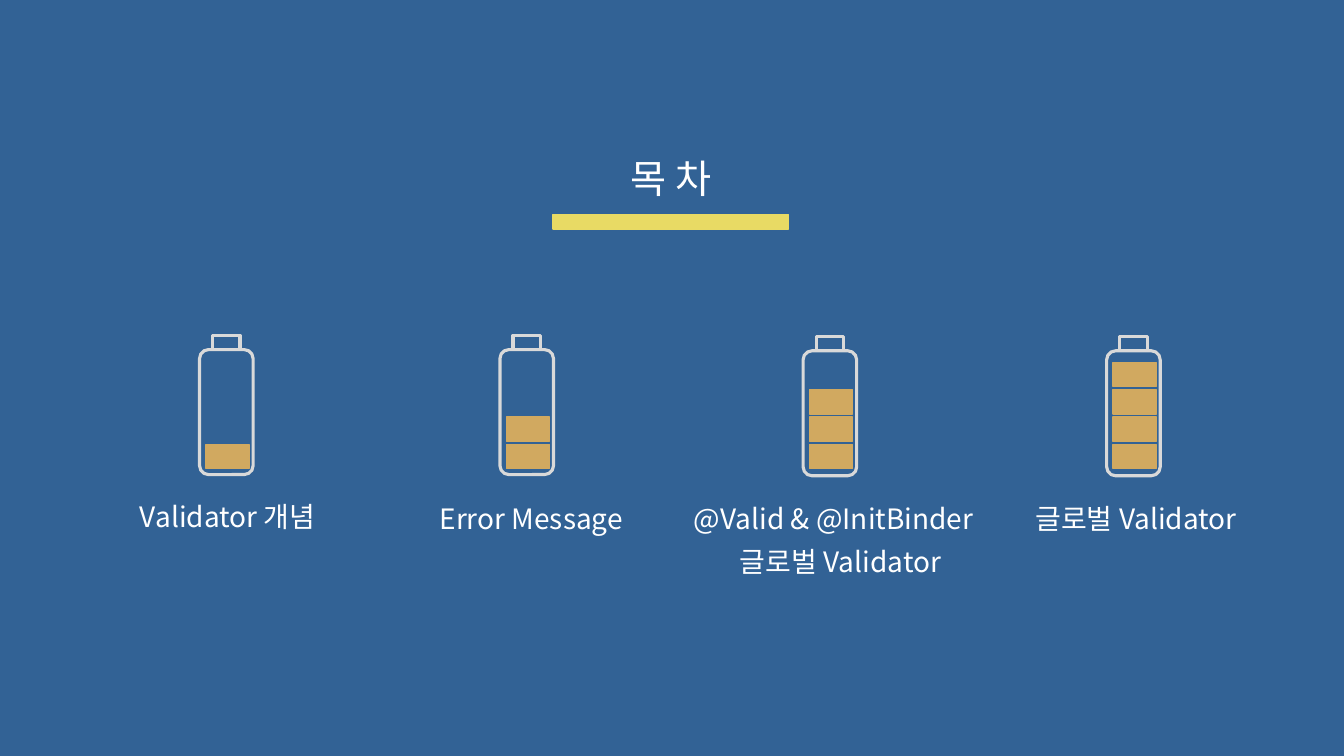
from dataclasses import dataclass

from lxml import etree
from pptx import Presentation
from pptx.dml.color import RGBColor
from pptx.enum.shapes import MSO_SHAPE
from pptx.enum.text import MSO_ANCHOR, MSO_AUTO_SIZE, PP_ALIGN
from pptx.oxml.ns import qn
from pptx.util import Cm, Pt

RECTANGLE = MSO_SHAPE.RECTANGLE
ROUNDED = MSO_SHAPE.ROUNDED_RECTANGLE
CENTER = PP_ALIGN.CENTER
TOP = MSO_ANCHOR.TOP
GROW = MSO_AUTO_SIZE.SHAPE_TO_FIT_TEXT


@dataclass(frozen=True)
class Theme:
    font: str = "Noto Sans CJK KR"
    background: str = "326295"
    text: str = "FFFFFF"
    outline: str = "D9D9D9"
    charge: str = "D1A960"
    accent: str = "E8DA64"
    title_size: float = 28
    label_size: float = 20
    outline_width: float = 2.25
    fill_width: float = 1


class SlideBuilder:
    def __init__(self, page, theme):
        self.page = page
        self.theme = theme
        background = page.background.fill
        background.solid()
        background.fore_color.rgb = RGBColor.from_string(theme.background)

    def shape(self, kind, left, top, width, height, line, fill=None):
        box = self.page.shapes.add_shape(
            kind, Cm(left), Cm(top), Cm(width), Cm(height))
        box.shadow.inherit = False
        if fill:
            box.fill.solid()
            box.fill.fore_color.rgb = RGBColor.from_string(fill)
        else:
            box.fill.background()
        box.line.color.rgb = RGBColor.from_string(line)
        width = self.theme.fill_width if fill else self.theme.outline_width
        box.line.width = Pt(width)

    def block(self, left, top, width, height, color):
        self.shape(RECTANGLE, left, top, width, height, color, color)

    def text(self, words, left, top, height, size):
        box = self.page.shapes.add_textbox(
            Cm(left), Cm(top), Cm(TEXT_WIDTH), Cm(height))
        frame = box.text_frame
        frame_format = {"word_wrap": True, "auto_size": GROW,
                        "vertical_anchor": TOP}
        for name, value in frame_format.items():
            setattr(frame, name, value)
        para = frame.paragraphs[0]
        para.alignment = CENTER
        span = para.add_run()
        span.text = words
        font_format = {"name": self.theme.font, "size": Pt(size)}
        for name, value in font_format.items():
            setattr(span.font, name, value)
        span.font.color.rgb = RGBColor.from_string(self.theme.text)
        east_asian = etree.SubElement(span.font._element, qn("a:ea"))
        east_asian.set("typeface", self.theme.font)

    def label(self, words, left, top):
        self.text(words, left, top, 1.12, self.theme.label_size)

    def battery(self, left, top, level):
        outline = self.theme.outline
        self.shape(ROUNDED, left, top, 1.35, 3.15, outline)
        self.shape(RECTANGLE, left + 0.33, top - 0.36, 0.69, 0.36, outline)
        for cell in range(level):
            self.block(left + 0.16, CELL_TOP - cell * CELL_STEP,
                       1.09, 0.61, self.theme.charge)


TEXT_WIDTH = 7.62
CELL_TOP = 11.2
CELL_STEP = 0.69
TOPICS = [
    ("Validator 개념", 1.93, 12.47, 5.03, 8.81),
    ("Error Message", 9.58, 12.5, 12.6, 8.81),
    ("@Valid & @InitBinder", 17.2, 12.5, 20.24, 8.84),
    ("글로벌 Validator", 24.82, 12.5, 27.89, 8.84),
]


def main():
    deck = Presentation()
    deck.slide_width = Cm(33.87)
    deck.slide_height = Cm(19.05)
    theme = Theme()
    builder = SlideBuilder(deck.slides.add_slide(deck.slide_layouts[6]), theme)
    builder.text("목 차", 13.11, 3.76, 1.45, theme.title_size)
    builder.block(13.94, 5.41, 5.94, 0.36, theme.accent)
    for level, topic in enumerate(TOPICS, start=1):
        words, label_left, label_top, battery_left, battery_top = topic
        builder.label(words, label_left, label_top)
        builder.battery(battery_left, battery_top, level)
    builder.label("글로벌 Validator", 17.37, 13.59)
    deck.save("out.pptx")


if __name__ == "__main__":
    main()
